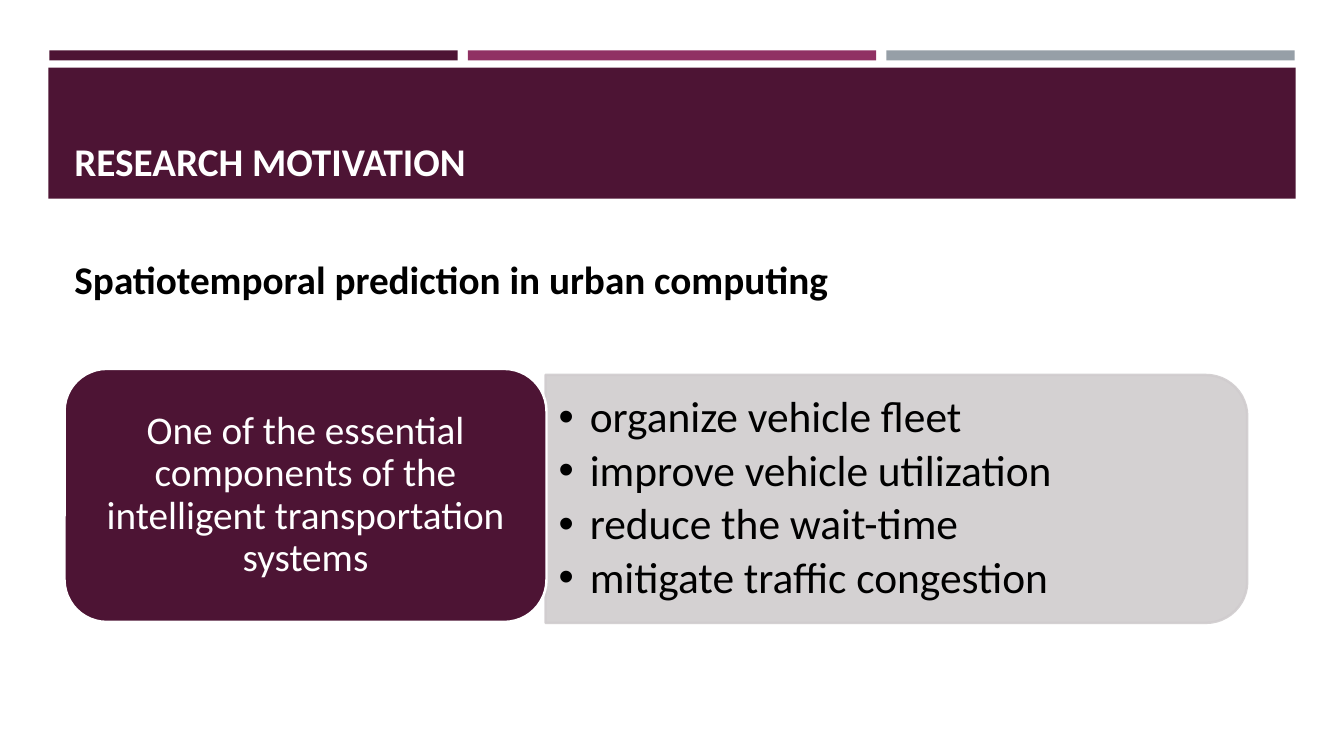
from dataclasses import dataclass

from lxml.etree import SubElement
from pptx import Presentation
from pptx.dml.color import RGBColor
from pptx.enum.shapes import MSO_SHAPE
from pptx.enum.text import MSO_ANCHOR, PP_ALIGN
from pptx.oxml.ns import qn
from pptx.util import Inches, Pt


@dataclass(frozen=True)
class Theme:
    """Colours, font and type sizes of the slide."""
    plum: RGBColor = RGBColor.from_string("4D1434")
    magenta: RGBColor = RGBColor.from_string("903163")
    slate: RGBColor = RGBColor.from_string("969FA7")
    panel: RGBColor = RGBColor.from_string("D0CCCE")
    white: RGBColor = RGBColor.from_string("FFFFFF")
    black: RGBColor = RGBColor.from_string("000000")
    font: str = "Calibri"
    body: Pt = Pt(28)
    bullet: Pt = Pt(31)
    outline: Pt = Pt(1.75)


THEME = Theme()
BENEFITS = (
    "organize vehicle fleet",
    "improve vehicle utilization",
    "reduce the wait-time",
    "mitigate traffic congestion",
)


def add_block(page, kind, area, fill, line=None):
    """Add a filled preset shape, outlined if a line colour is given."""
    block = page.shapes.add_shape(kind, *map(Inches, area))
    block.shadow.inherit = False
    block.fill.solid()
    block.fill.fore_color.rgb = fill
    if line is None:
        block.line.fill.background()
    else:
        block.line.color.rgb = line
        block.line.width = THEME.outline
    return block


def fade(shape, percent):
    """Set the opacity of a shape's fill and outline."""
    for color in shape._element.spPr.iter(qn("a:srgbClr")):
        SubElement(color, qn("a:alpha"), val=str(percent * 1000))


def write(shape, lines, size, color, anchor, margins=(0.1, 0.05), bold=False):
    """Write one paragraph per line and return the paragraphs."""
    frame = shape.text_frame
    frame.word_wrap = True
    frame.vertical_anchor = anchor
    frame.margin_left = frame.margin_right = Inches(margins[0])
    frame.margin_top = frame.margin_bottom = Inches(margins[1])
    frame.text = "\n".join(lines)
    for para in frame.paragraphs:
        para.alignment = PP_ALIGN.LEFT
        para.font.name = THEME.font
        para.font.size = size
        para.font.bold = bold
        para.font.color.rgb = color
    return frame.paragraphs


def add_heading(page, area, text, color, anchor):
    """Add a bold single-line heading."""
    box = page.shapes.add_textbox(*map(Inches, area))
    write(box, [text], THEME.body, color, anchor, bold=True)


def add_banner(page):
    """Add the three accent bars and the title band."""
    for column, color in enumerate((THEME.plum, THEME.magenta, THEME.slate)):
        add_block(page, MSO_SHAPE.RECTANGLE, (0.49 + 4.15 * column, 0.5, 4.05, 0.1), color)
    add_block(page, MSO_SHAPE.RECTANGLE, (0.48, 0.67, 12.37, 1.3), THEME.plum)


def add_benefits(page):
    """Add the panel with its bulleted list."""
    panel = add_block(page, MSO_SHAPE.ROUND_2_SAME_RECTANGLE,
                      (7.66, 1.47, 2.46, 6.96), THEME.panel, THEME.panel)
    panel.rotation = 90
    fade(panel, 90)
    box = page.shapes.add_textbox(*map(Inches, (5.41, 3.84, 6.84, 2.22)))
    for para in write(box, BENEFITS, THEME.bullet, THEME.black, MSO_ANCHOR.MIDDLE, (0.13, 0.06)):
        para.line_spacing = 0.9
        para.space_after = Pt(4.65)
        properties = para._p.get_or_add_pPr()
        properties.set("marL", str(Inches(0.31)))
        properties.set("indent", str(Inches(-0.31)))
        SubElement(properties, qn("a:buFont"), typeface="Arial")
        SubElement(properties, qn("a:buChar"), char="•")
        properties.append(properties.find(qn("a:defRPr")))


def add_statement(page):
    """Add the rounded block with the key statement."""
    block = add_block(page, MSO_SHAPE.ROUNDED_RECTANGLE,
                      (0.64, 3.66, 4.78, 2.51), THEME.plum, THEME.white)
    text = "One of the essential components of the intelligent transportation systems"
    for para in write(block, [text], THEME.body, THEME.white, MSO_ANCHOR.MIDDLE, (0.12, 0.06)):
        para.alignment = PP_ALIGN.CENTER
        para.line_spacing = 0.9


def main():
    """Build the slide and save the deck."""
    deck = Presentation()
    deck.slide_width, deck.slide_height = Inches(13.33), Inches(7.5)
    page = deck.slides.add_slide(deck.slide_layouts[6])
    add_banner(page)
    add_heading(page, (0.64, 0.77, 12.06, 1.11), "RESEARCH MOTIVATION",
                THEME.white, MSO_ANCHOR.BOTTOM)
    add_benefits(page)
    add_statement(page)
    add_heading(page, (0.64, 2.48, 8.89, 0.57), "Spatiotemporal prediction in urban computing",
                THEME.black, MSO_ANCHOR.TOP)
    deck.save("out.pptx")


if __name__ == "__main__":
    main()
